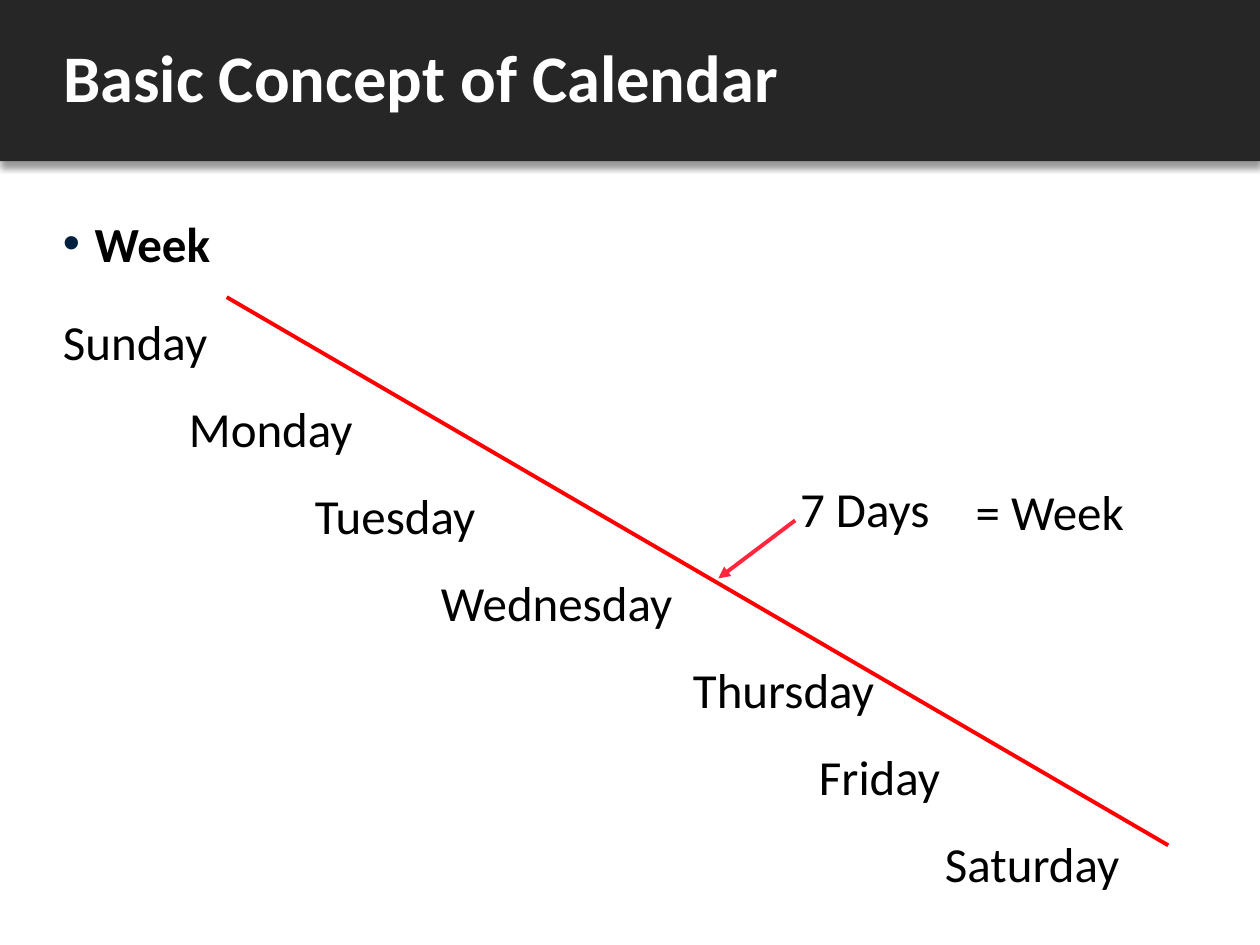
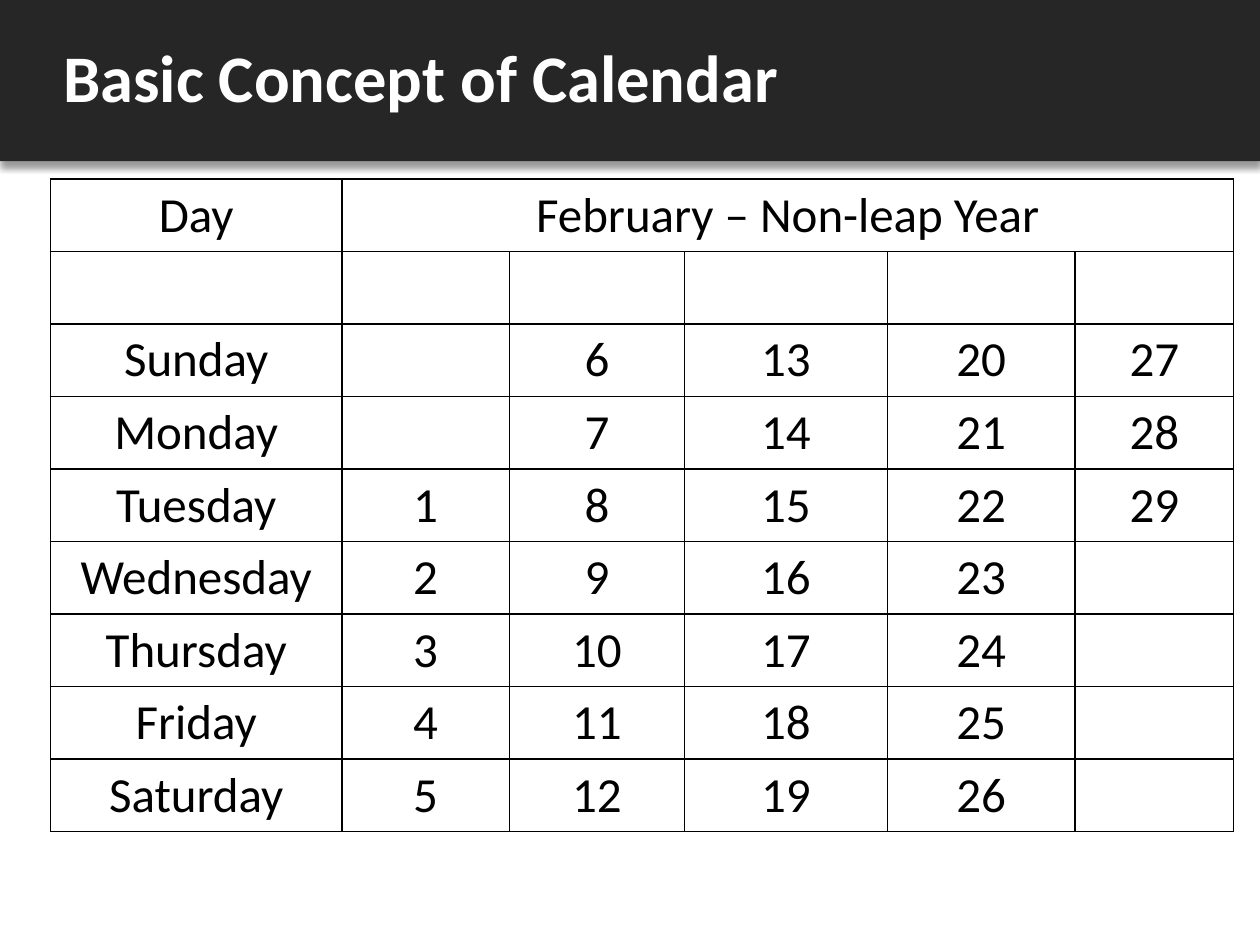
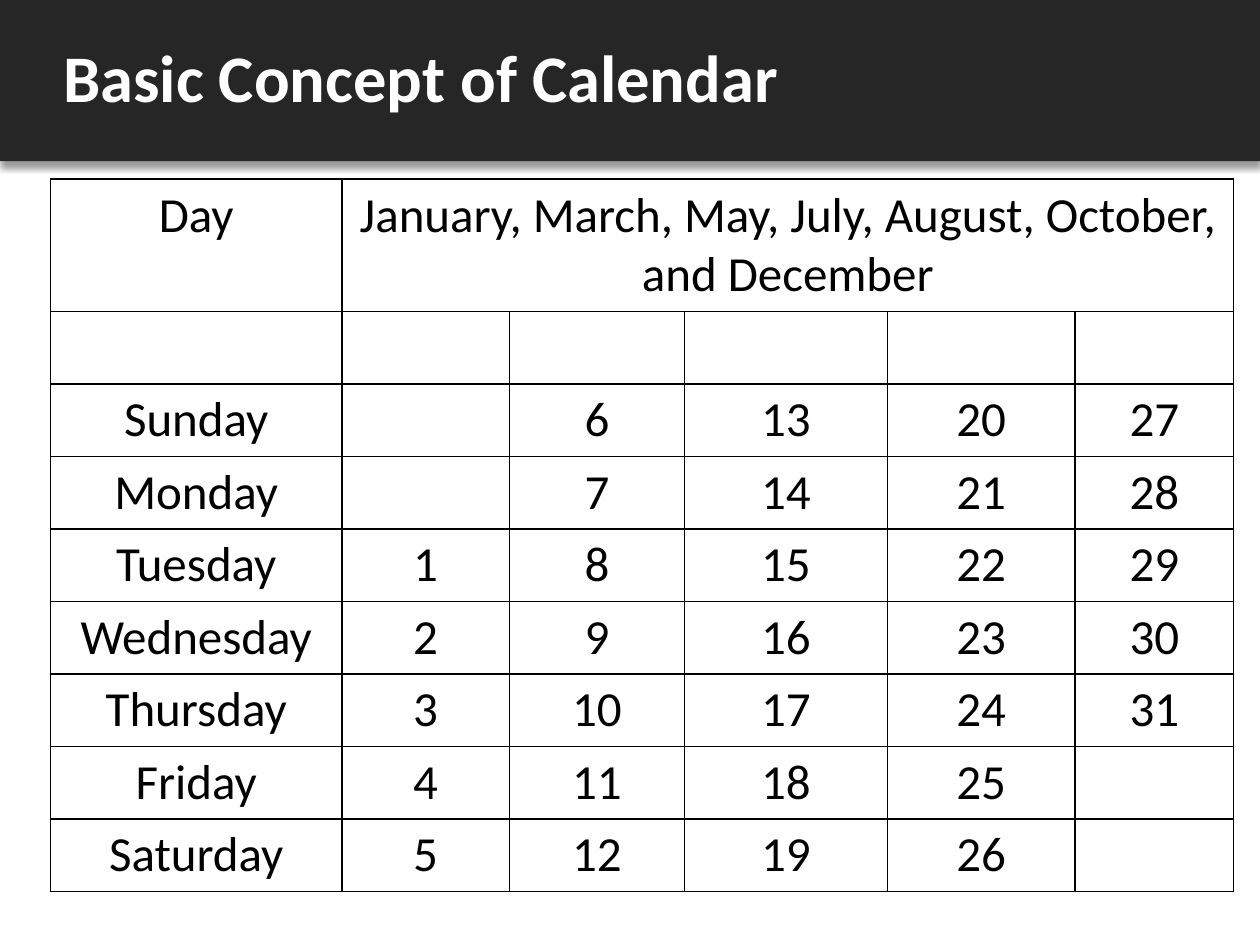
"""Build three slides on the basic concept of the calendar."""
from lxml import etree
from pptx import Presentation
from pptx.dml.color import RGBColor
from pptx.enum.shapes import MSO_CONNECTOR, MSO_SHAPE
from pptx.enum.text import MSO_ANCHOR, MSO_AUTO_SIZE, PP_ALIGN
from pptx.oxml.ns import qn
from pptx.util import Cm, Pt

LEFT, CENTER, JUSTIFY = PP_ALIGN.LEFT, PP_ALIGN.CENTER, PP_ALIGN.JUSTIFY
MIDDLE, NO_FIT = MSO_ANCHOR.MIDDLE, MSO_AUTO_SIZE.NONE
RECTANGLE, STRAIGHT = MSO_SHAPE.RECTANGLE, MSO_CONNECTOR.STRAIGHT

COLORS = {
    "band": "262626",
    "paper": "FFFFFF",
    "text": "000000",
    "bullet": "00203F",
    "diagonal": "FF0000",
    "arrow": "FF263E",
}
FONT = "Calibri"
TITLE = "Basic Concept of Calendar"
WEEK = "Week"
DAYS = [
    ("Sunday", 0),
    ("Monday", 1),
    ("Tuesday", 2),
    ("Wednesday", 3),
    ("Thursday", 5),
    ("Friday", 6),
    ("Saturday", 7),
]
LABELS = [
    ("7 Days", (15.88, 9.52, 4.16, 1.45)),
    ("= Week", (19.42, 9.58, 4.16, 1.45)),
]
LINES = [
    ("arrow", (16.03, 10.49, 14.48, 11.66), True),
    ("diagonal", (4.57, 5.99, 23.55, 17.04), False),
]
MONTHS = [
    {"heading": "February – Non-leap Year", "last_date": 29, "heading_height": 1.46},
    {
        "heading": "January, March, May, July, August, October, and December",
        "last_date": 31,
        "heading_height": 2.66,
    },
]

SLIDE_WIDTH, SLIDE_HEIGHT = 25.4, 19.05
BAND_HEIGHT = 3.25
CONTENT_LEFT, CONTENT_TOP = 1.02, 3.61
CONTENT_WIDTH, CONTENT_HEIGHT = 23.85, 15.01
COLUMN_WIDTHS = [5.87, 3.38, 3.53, 4.09, 3.78, 3.2]
ROW_HEIGHT = 1.46
STEP = 2.54
DAY_LINES = 1.48


def color(name):
    return RGBColor.from_string(COLORS[name])


def add_xml(parent, tag, **attributes):
    return etree.SubElement(parent, qn(tag), attributes)


def apply_values(target, values):
    for name, value in values.items():
        setattr(target, name, value)


def write(paragraph, text, size=28, bold=False, ink="text", **values):
    run = paragraph.add_run()
    run.text = text
    apply_values(run.font, {"name": FONT, "size": Pt(size), "bold": bold})
    run.font.color.rgb = color(ink)
    apply_values(paragraph, values)


def add_band(slide, layout):
    band = slide.shapes.add_shape(RECTANGLE, 0, 0, Cm(SLIDE_WIDTH), Cm(BAND_HEIGHT))
    band.fill.solid()
    band.fill.fore_color.rgb = color("band")
    band.line.fill.background()
    band.shadow.inherit = False
    effects = band.element.spPr.find(qn("a:effectLst"))
    shadow = add_xml(effects, "a:outerShdw", blurRad=str(Pt(4)), dist=str(Pt(3)),
                     dir="5400000", rotWithShape="0")
    shade = add_xml(shadow, "a:srgbClr", val=COLORS["text"])
    add_xml(shade, "a:alpha", val="40000")
    layout.shapes.element.insert(2, band.element)


def add_titled_slide(presentation, layout):
    slide = presentation.slides.add_slide(layout)
    title = slide.shapes.title
    apply_values(title, {"left": Cm(CONTENT_LEFT), "top": 0,
                         "width": Cm(SLIDE_WIDTH - CONTENT_LEFT), "height": Cm(BAND_HEIGHT)})
    frame = title.text_frame
    apply_values(frame, {"vertical_anchor": MIDDLE, "auto_size": NO_FIT, "word_wrap": True})
    write(frame.paragraphs[0], TITLE, size=38, bold=True, ink="paper",
          alignment=LEFT, line_spacing=0.9, space_after=Pt(6))
    return slide


def add_text_frame(slide, box):
    frame = slide.shapes.add_textbox(*map(Cm, box)).text_frame
    frame.word_wrap = True
    return frame


def add_day_steps(slide):
    frame = add_text_frame(slide, (CONTENT_LEFT, CONTENT_TOP, CONTENT_WIDTH, CONTENT_HEIGHT))
    heading = frame.paragraphs[0]
    properties = heading._p.get_or_add_pPr()
    properties.set("marL", str(Cm(0.64)))
    properties.set("indent", str(-Cm(0.64)))
    add_xml(add_xml(properties, "a:buClr"), "a:srgbClr", val=COLORS["bullet"])
    add_xml(properties, "a:buFont", typeface="Arial")
    add_xml(properties, "a:buChar", char="•")
    write(heading, WEEK, bold=True, alignment=JUSTIFY,
          line_spacing=DAY_LINES, space_after=Pt(6))
    for day, steps in DAYS:
        paragraph = frame.add_paragraph()
        paragraph._p.get_or_add_pPr().set("marL", str(Cm(steps * STEP)))
        write(paragraph, day, line_spacing=DAY_LINES)


def add_line(slide, ink, ends, has_arrowhead):
    connector = slide.shapes.add_connector(STRAIGHT, *map(Cm, ends))
    connector.line.color.rgb = color(ink)
    connector.line.width = Pt(2.25)
    properties = connector.element.spPr
    if has_arrowhead:
        add_xml(properties.find(qn("a:ln")), "a:tailEnd", type="triangle")
    add_xml(properties, "a:effectLst")


def format_cell(cell):
    properties = cell._tc.get_or_add_tcPr()
    for side in ("a:lnL", "a:lnR", "a:lnT", "a:lnB"):
        border = add_xml(properties, side, w=str(Pt(1)))
        add_xml(add_xml(border, "a:solidFill"), "a:srgbClr", val=COLORS["text"])
    cell.fill.solid()
    cell.fill.fore_color.rgb = color("paper")


def calendar_rows(heading, last_date):
    weeks = range(len(COLUMN_WIDTHS) - 1)
    rows = [["Day", heading], []]
    for position, (day, _) in enumerate(DAYS):
        dates = [7 * week + position - 1 for week in weeks]
        rows.append([day] + [str(date) if 1 <= date <= last_date else "" for date in dates])
    return rows


def add_calendar(slide, heading, last_date, heading_height):
    rows = calendar_rows(heading, last_date)
    heights = [heading_height] + [ROW_HEIGHT] * (len(rows) - 1)
    table = slide.shapes.add_table(
        len(rows), len(COLUMN_WIDTHS), Cm(CONTENT_LEFT), Cm(CONTENT_TOP),
        Cm(CONTENT_WIDTH), Cm(sum(heights))).table
    apply_values(table, {"first_row": False, "horz_banding": False})
    for column, width in zip(table.columns, COLUMN_WIDTHS):
        column.width = Cm(width)
    for row, height in zip(table.rows, heights):
        row.height = Cm(height)
    for cell in table.iter_cells():
        format_cell(cell)
    table.cell(0, 1).merge(table.cell(0, len(COLUMN_WIDTHS) - 1))
    for row_index, texts in enumerate(rows):
        for column_index, text in enumerate(texts):
            if text:
                paragraph = table.cell(row_index, column_index).text_frame.paragraphs[0]
                write(paragraph, text, alignment=CENTER)


def main():
    presentation = Presentation()
    presentation.slide_width = Cm(SLIDE_WIDTH)
    presentation.slide_height = Cm(SLIDE_HEIGHT)
    layout = presentation.slide_layouts.get_by_name("Title Only")

    week_slide = add_titled_slide(presentation, layout)
    add_band(week_slide, layout)
    add_day_steps(week_slide)
    for text, box in LABELS:
        write(add_text_frame(week_slide, box).paragraphs[0], text)
    for line in LINES:
        add_line(week_slide, *line)

    for month in MONTHS:
        add_calendar(add_titled_slide(presentation, layout), **month)
    presentation.save("out.pptx")


if __name__ == "__main__":
    main()
